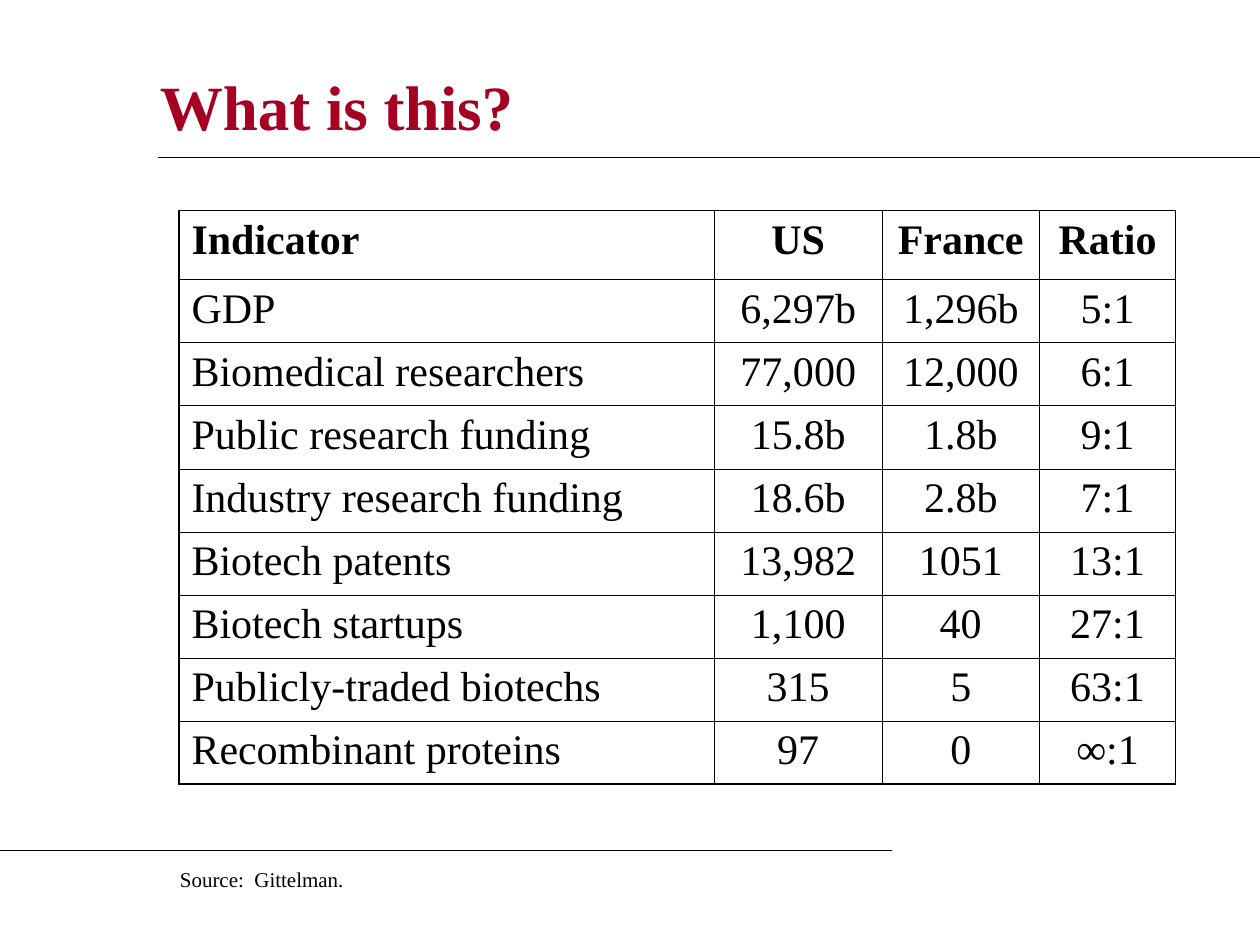
from dataclasses import dataclass

from lxml import etree
from pptx import Presentation
from pptx.dml.color import RGBColor
from pptx.enum import shapes, text
from pptx.oxml import ns
from pptx.util import Inches, Pt


@dataclass(frozen=True)
class Theme:
    font: str = "Times New Roman"
    accent: str = "A50021"
    ink: str = "000000"
    title_size: int = 36
    table_size: int = 24
    source_size: int = 12
    rule_width: float = 0.75
    outer_border: float = 1.08
    inner_border: float = 0.45


THEME = Theme()
TITLE = "What is this?"
SOURCE = "Source:  Gittelman."
ROWS = [
    ("Indicator", "US", "France", "Ratio"),
    ("GDP", "6,297b", "1,296b", "5:1"),
    ("Biomedical researchers", "77,000", "12,000", "6:1"),
    ("Public research funding", "15.8b", "1.8b", "9:1"),
    ("Industry research funding", "18.6b", "2.8b", "7:1"),
    ("Biotech patents", "13,982", "1051", "13:1"),
    ("Biotech startups", "1,100", "40", "27:1"),
    ("Publicly-traded biotechs", "315", "5", "63:1"),
    ("Recombinant proteins", "97", "0", "∞:1"),
]
COLUMN_WIDTHS = [4.25, 1.33, 1.25, 1.08]
HEADER_HEIGHT, ROW_HEIGHT = 0.55, 0.5
TABLE_LEFT, TABLE_TOP = 1.42, 1.67
RULES = [(1.25, 10, 1.25), (0, 7.08, 6.75)]


def write(paragraph, words, size, color=THEME.ink, bold=False):
    run = paragraph.add_run()
    run.text = words
    run.font.name = THEME.font
    run.font.size = Pt(size)
    run.font.bold = bold
    run.font.color.rgb = RGBColor.from_string(color)


def add_text(slide, box, words, size, anchor, **style):
    frame = slide.shapes.add_textbox(*map(Inches, box)).text_frame
    frame.word_wrap = True
    frame.vertical_anchor = anchor
    write(frame.paragraphs[0], words, size, **style)


def add_rule(slide, start, end, y):
    rule = slide.shapes.add_connector(
        shapes.MSO_CONNECTOR.STRAIGHT, Inches(start), Inches(y), Inches(end), Inches(y))
    rule.line.color.rgb = RGBColor.from_string(THEME.ink)
    rule.line.width = Pt(THEME.rule_width)
    etree.SubElement(rule._element.spPr, ns.qn("a:effectLst"))


def set_borders(cell, outer_sides):
    properties = cell._tc.get_or_add_tcPr()
    for side in "LRTB":
        width = THEME.outer_border if side in outer_sides else THEME.inner_border
        line = etree.SubElement(properties, ns.qn(f"a:ln{side}"), w=str(Pt(width)))
        fill = etree.SubElement(line, ns.qn("a:solidFill"))
        etree.SubElement(fill, ns.qn("a:srgbClr"), val=THEME.ink)


def add_indicator_table(slide):
    heights = [HEADER_HEIGHT] + [ROW_HEIGHT] * (len(ROWS) - 1)
    table = slide.shapes.add_table(
        len(ROWS), len(COLUMN_WIDTHS), Inches(TABLE_LEFT), Inches(TABLE_TOP),
        Inches(sum(COLUMN_WIDTHS)), Inches(sum(heights))).table
    table.first_row = table.horz_banding = False
    for column, width in zip(table.columns, COLUMN_WIDTHS):
        column.width = Inches(width)
    for r, (values, height) in enumerate(zip(ROWS, heights)):
        table.rows[r].height = Inches(height)
        for c, value in enumerate(values):
            cell = table.cell(r, c)
            edges = {"L": c == 0, "R": c == len(values) - 1,
                     "T": r == 0, "B": r == len(ROWS) - 1}
            set_borders(cell, [side for side, outer in edges.items() if outer])
            cell.fill.background()
            paragraph = cell.text_frame.paragraphs[0]
            paragraph.alignment = text.PP_ALIGN.CENTER if c else text.PP_ALIGN.LEFT
            write(paragraph, value, THEME.table_size, bold=r == 0)


def main():
    presentation = Presentation()
    presentation.slide_width, presentation.slide_height = Inches(10), Inches(7.5)
    slide = presentation.slides.add_slide(presentation.slide_layouts[6])
    add_text(slide, (1.17, 0.42, 7.96, 0.83), TITLE, THEME.title_size,
             text.MSO_ANCHOR.MIDDLE, color=THEME.accent, bold=True)
    for rule in RULES:
        add_rule(slide, *rule)
    add_indicator_table(slide)
    add_text(slide, (1.33, 6.83, 5.17, 0.3), SOURCE, THEME.source_size,
             text.MSO_ANCHOR.TOP)
    presentation.save("out.pptx")


if __name__ == "__main__":
    main()
